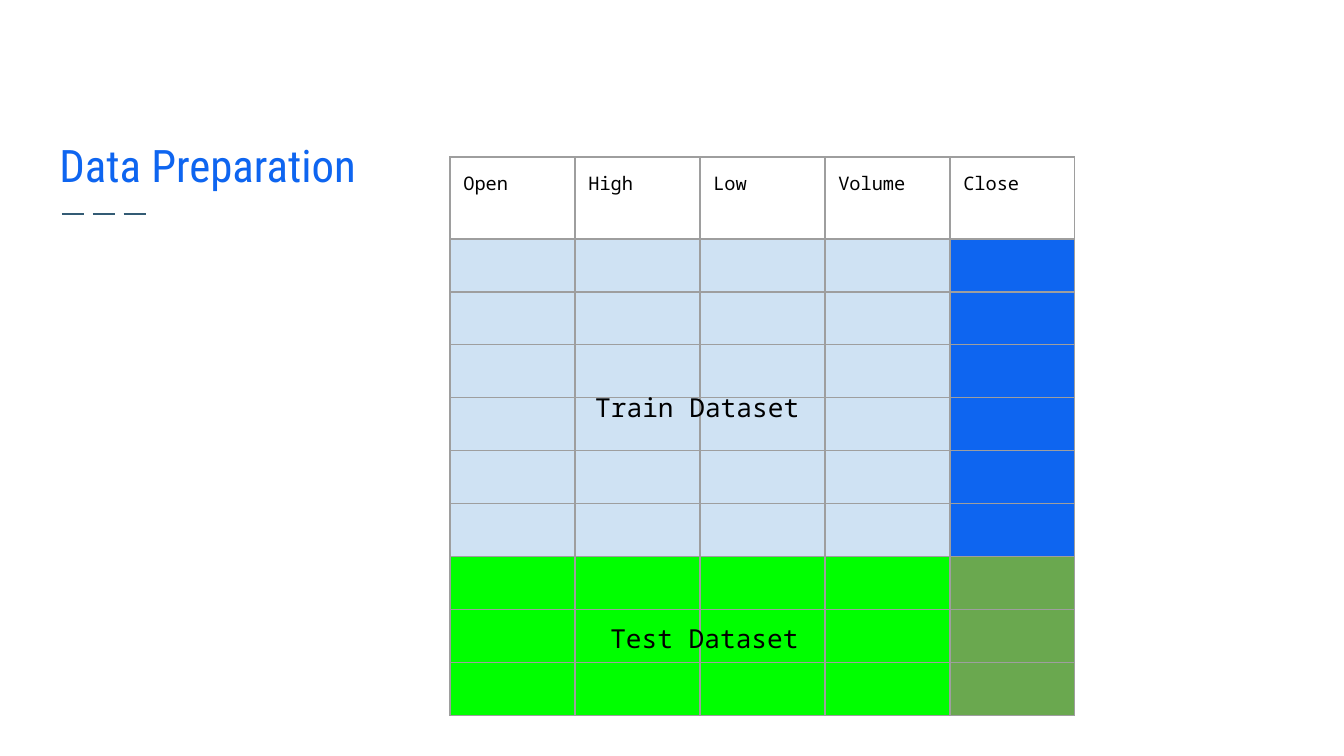
"""Build the data preparation slide with its train and test table."""
from dataclasses import dataclass

from lxml import etree
from pptx import Presentation
from pptx import util as u
from pptx.dml.color import RGBColor
from pptx.enum import dml, shapes, text
from pptx.oxml import ns

SCALE = 9144000 / 1344


def px(n):
    return u.Emu(round(n * SCALE))


@dataclass(frozen=True)
class Theme:
    head: str = "Roboto Condensed"
    mono: str = "Noto Sans Mono"
    blue: str = "0E65F0"
    ink: str = "000000"
    dash: str = "335B74"
    grid: str = "9E9E9E"
    train: str = "CFE2F3"
    test: str = "00FF00"
    goal: str = "6AA84F"
    big: int = 24
    mid: int = 14
    small: int = 10


class Deck:
    def __init__(self, theme):
        self.theme = theme
        self.file = Presentation()
        self.file.slide_width, self.file.slide_height = px(1344), px(756)
        self.slide = self.file.slides.add_slide(self.file.slide_layouts[5])

    def fit(self, frame, words, face, size, color):
        frame.margin_left = frame.margin_right = u.Inches(0.1)
        frame.margin_top = frame.margin_bottom = u.Inches(0.1)
        frame.word_wrap = True
        self.style(frame.paragraphs[0], words, face, size, color)

    def style(self, para, words, face, size, color):
        para.text = words
        para.alignment = text.PP_ALIGN.LEFT
        para.font.name, para.font.size = face, u.Pt(size)
        para.font.color.rgb = RGBColor.from_string(color)

    def title(self, words, x, y, w, h):
        box = self.slide.shapes.title
        box.left, box.top, box.width, box.height = map(px, (x, y, w, h))
        frame = box.text_frame
        frame.auto_size = text.MSO_AUTO_SIZE.NONE
        frame.vertical_anchor = text.MSO_ANCHOR.BOTTOM
        t = self.theme
        self.fit(frame, words, t.head, t.big, t.blue)

    def label(self, words, x, y, w, h):
        box = self.slide.shapes.add_textbox(*map(px, (x, y, w, h)))
        frame = box.text_frame
        t = self.theme
        self.fit(frame, words, t.mono, t.mid, t.ink)
        frame.auto_size = text.MSO_AUTO_SIZE.SHAPE_TO_FIT_TEXT

    def rule(self, x, y, w):
        line = self.slide.shapes.add_connector(
            shapes.MSO_CONNECTOR.STRAIGHT, *map(px, (x, y, x + w, y)))
        line.line.color.rgb = RGBColor.from_string(self.theme.dash)
        line.line.width = u.Pt(1.5)
        line.line.dash_style = dml.MSO_LINE.LONG_DASH
        etree.SubElement(line._element.spPr, ns.qn("a:effectLst"))

    def border(self, cell):
        props = cell._tc.get_or_add_tcPr()
        for i, side in enumerate(("lnL", "lnR", "lnT", "lnB")):
            edge = etree.Element(ns.qn(f"a:{side}"), w=str(u.Pt(0.75)))
            fill = etree.SubElement(edge, ns.qn("a:solidFill"))
            etree.SubElement(fill, ns.qn("a:srgbClr"), val=self.theme.grid)
            props.insert(i, edge)

    def table(self, heads, bands, x, y, col, top, row):
        t = self.theme
        fills = [pair for count, *pair in bands for _ in range(count)]
        wide, high = len(heads), len(fills)
        grid = self.slide.shapes.add_table(
            high + 1, wide, *map(px, (x, y, col * wide, top + row * high))).table
        grid.first_row = grid.horz_banding = False
        for line in grid.columns:
            line.width = px(col)
        for i, line in enumerate(grid.rows):
            line.height = px(row if i else top)
            for j, cell in enumerate(line.cells):
                cell.margin_left = cell.margin_right = u.Inches(0.1)
                cell.margin_top = cell.margin_bottom = 0 if i else u.Inches(0.1)
                if i:
                    cell.fill.solid()
                    shade = fills[i - 1][j == wide - 1]
                    cell.fill.fore_color.rgb = RGBColor.from_string(shade)
                else:
                    cell.fill.background()
                    self.style(cell.text_frame.paragraphs[0], heads[j],
                               t.mono, t.small, t.ink)
                self.border(cell)


def main():
    theme = Theme()
    deck = Deck(theme)
    deck.rule(62, 214, 90)
    deck.title("Data Preparation", 46, 93, 413, 112)
    deck.table(("Open", "High", "Low", "Volume", "Close"),
               ((6, theme.train, theme.blue), (3, theme.test, theme.goal)),
               x=450, y=157, col=125, top=82, row=53)
    deck.label("Train Dataset", 582, 378, 740, 59)
    deck.label("Test Dataset", 597, 609, 740, 59)
    deck.file.save("out.pptx")


if __name__ == "__main__":
    main()
